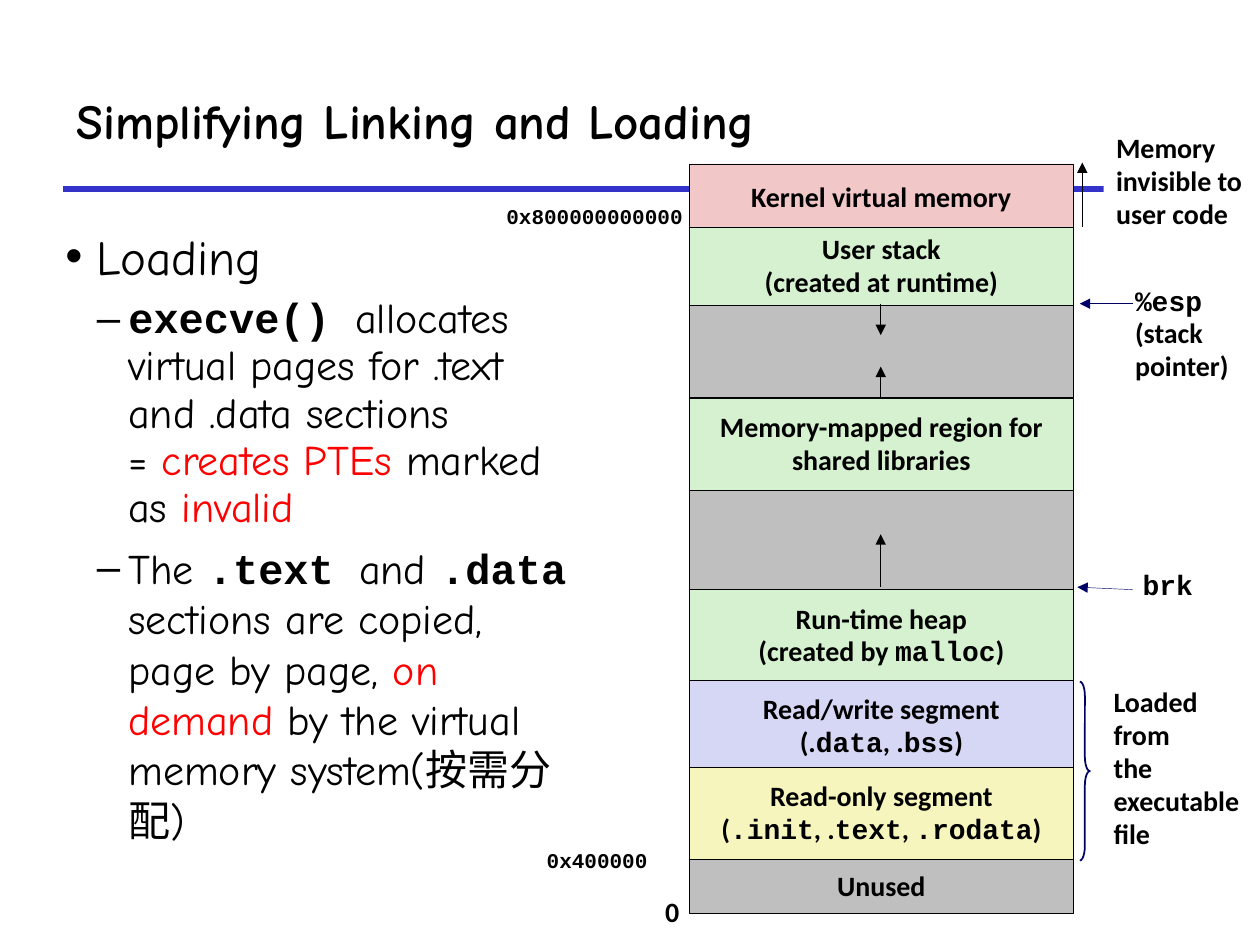
from lxml import etree
from pptx import Presentation
from pptx import util as u
from pptx.dml.color import RGBColor
from pptx.enum import shapes, text
from pptx.oxml.ns import qn

deck = Presentation()
deck.slide_width, deck.slide_height = u.Inches(10), u.Inches(7.5)
page = deck.slides.add_slide(deck.slide_layouts[6])
col = deck.slide_width / 10
row = deck.slide_height / 7.5


def paint(target, color):
    if hasattr(target, "solid"):
        target.solid()
        target = target.fore_color
    target.rgb = RGBColor.from_string(color)


def write(para, line, size, face, bold):
    for piece in line.split("|"):
        if piece.startswith("\v"):
            para.add_line_break()
            piece = piece[1:]
        code, red = piece.startswith("`"), piece.startswith("~")
        span = para.add_run()
        span.text = piece.lstrip("`~")
        span.font.size = u.Pt(size)
        span.font.name = "Courier New" if code else face
        span.font.bold = bold or code
        paint(span.font.color, "FF0000" if red else "000000")


rule = page.shapes.add_connector(
    shapes.MSO_CONNECTOR.STRAIGHT, int(0.5 * col), int(1.5 * row), int(9.33 * col), int(1.5 * row))
rule.line.width = u.Pt(3)
paint(rule.line.color, "3333CC")
etree.SubElement(rule._element.spPr, qn("a:effectLst"))

title = page.shapes.add_textbox(int(0.51 * col), int(0.42 * row), int(9.06 * col), int(1.07 * row))
title.text_frame.word_wrap = True
title.text_frame.vertical_anchor = text.MSO_ANCHOR.MIDDLE
write(title.text_frame.paragraphs[0], "Simplifying Linking and Loading", 28, "Comic Neue", True)

body = page.shapes.add_textbox(int(0.42 * col), int(1.75 * row), int(4.25 * col), int(5.23 * row))
body.text_frame.word_wrap = True
points = [
    ("•", 0.25, 28, 0, 1, "Loading"),
    ("–", 0.5, 24, 5.7, 0.94,
     "`execve() |allocates virtual pages for .text and .data sections |\v= |~creates PTEs| marked as |~invalid"),
    ("–", 0.5, 24, 5.7, 1,
     "The |`.text |and |`.data |sections are copied, page by page, |~on demand| by the virtual memory system(按需分配)"),
]
for index, (mark, indent, size, before, spacing, line) in enumerate(points):
    para = body.text_frame.add_paragraph() if index else body.text_frame.paragraphs[0]
    para.level = min(index, 1)
    props = para._p.get_or_add_pPr()
    props.set("marL", str(u.Inches(indent)))
    props.set("indent", str(u.Inches(-0.25)))
    para.line_spacing = spacing
    para.space_before = u.Pt(before)
    etree.SubElement(props, qn("a:buFont")).set("typeface", "Arial")
    etree.SubElement(props, qn("a:buChar")).set("char", mark)
    write(para, line, size, "Comic Neue", False)

PINK, GREEN, GRAY, BLUE, YELLOW = "F1C7C7", "D5F1CF", "BFBFBF", "D6D6F5", "F6F5BD"
segments = [
    (1.3, 0.53, PINK, ["Kernel virtual memory"]),
    (2.16, 0.99, GRAY, []),
    (1.8, 0.62, GREEN, ["User stack", "(created at runtime)"]),
    (3.16, 0.73, GREEN, ["Memory-mapped region for", "shared libraries"]),
    (3.89, 0.79, GRAY, []),
    (4.68, 0.73, GREEN, ["Run-time heap", "(created by |`malloc|)"]),
    (5.4, 0.73, BLUE, ["Read/write segment", "(.|`data|, .|`bss|)"]),
    (6.09, 0.73, YELLOW, ["Read-only segment", "(|`.init|, .|`text|, |`.rodata|)"]),
    (6.82, 0.43, GRAY, ["Unused"]),
]
for top, height, fill, lines in segments:
    box = page.shapes.add_shape(
        shapes.MSO_SHAPE.RECTANGLE, int(5.47 * col), int(top * row), int(3.05 * col), int(height * row))
    box.shadow.inherit = False
    paint(box.fill, fill)
    paint(box.line.color, "000000")
    box.line.width = u.Pt(0.25)
    box.text_frame.word_wrap = False
    box.text_frame.vertical_anchor = text.MSO_ANCHOR.MIDDLE
    for index, line in enumerate(lines):
        para = box.text_frame.add_paragraph() if index else box.text_frame.paragraphs[0]
        para.alignment = text.PP_ALIGN.CENTER
        para.line_spacing = 0.98
        write(para, line, 16, "Calibri", True)

labels = [
    (5.18, 7.06, 0.31, 0.37, 16, ["0"]),
    (8.91, 2.22, 0.95, 0.88, 16, ["`%esp", "(stack", "pointer)"]),
    (8.76, 1, 1.26, 0.9, 16, ["Memory", "invisible to", "user code"]),
    (8.97, 4.48, 0.6, 0.36, 16, ["`brk"]),
    (3.92, 1.58, 1.62, 0.3, 12, ["`0x800000000000"]),
    (4.24, 6.69, 1.01, 0.3, 12, ["`0x400000"]),
    (8.74, 5.4, 1.26, 1.42, 16, ["Loaded", "from", "the", "executable", "file"]),
]
for left, top, width, height, size, lines in labels:
    box = page.shapes.add_textbox(int(left * col), int(top * row), int(width * col), int(height * row))
    if lines[0] == "Memory":
        paint(box.fill, "FFFFFF")
    box.text_frame.word_wrap = False
    box.text_frame.auto_size = text.MSO_AUTO_SIZE.SHAPE_TO_FIT_TEXT
    for index, line in enumerate(lines):
        para = box.text_frame.add_paragraph() if index else box.text_frame.paragraphs[0]
        para.line_spacing = 0.94 if line.startswith("`") else 0.98
        write(para, line, size, "Calibri", True)

arrows = [
    (6.99, 4.66, 6.99, 4.24, "000000"),
    (6.99, 3.16, 6.99, 2.91, "000000"),
    (6.99, 2.41, 6.99, 2.66, "000000"),
    (8.59, 1.8, 8.59, 1.29, "000000"),
    (8.99, 2.41, 8.57, 2.41, "000066"),
    (8.99, 4.68, 8.55, 4.66, "000066"),
]
for x1, y1, x2, y2, color in arrows:
    arrow = page.shapes.add_connector(
        shapes.MSO_CONNECTOR.STRAIGHT, int(x1 * col), int(y1 * row), int(x2 * col), int(y2 * row))
    paint(arrow.line.color, color)
    arrow.line.width = u.Pt(0.25)
    etree.SubElement(arrow.line._get_or_add_ln(), qn("a:tailEnd")).set("type", "triangle")
    etree.SubElement(arrow._element.spPr, qn("a:effectLst"))

brace = page.shapes.add_shape(
    shapes.MSO_SHAPE.RIGHT_BRACE, int(8.57 * col), int(5.41 * row), int(0.08 * col), int(1.42 * row))
brace.shadow.inherit = False
brace.adjustments[0] = 1.42
brace.fill.background()
paint(brace.line.color, "000066")
brace.line.width = u.Pt(1)

deck.save("out.pptx")
